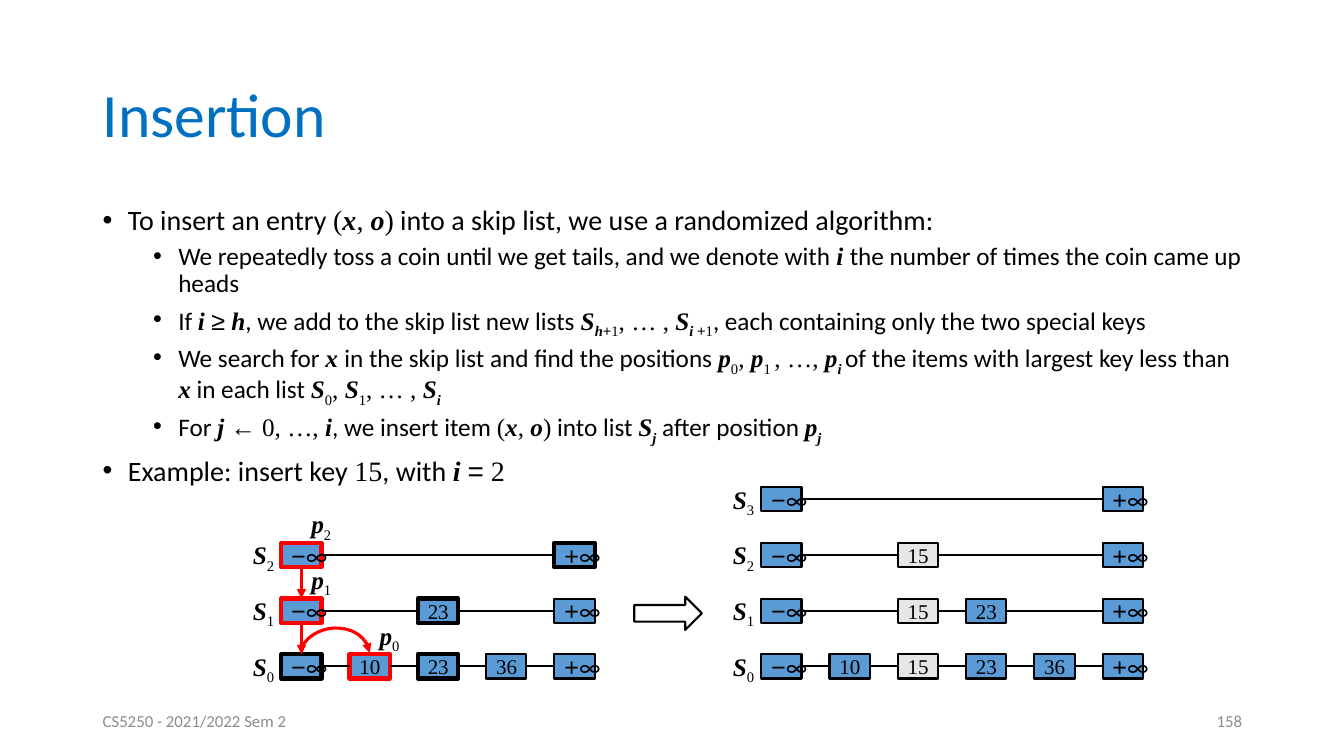
from itertools import pairwise

from lxml.etree import SubElement
from pptx import Presentation
from pptx.dml.color import RGBColor
from pptx.enum.shapes import MSO_CONNECTOR, MSO_SHAPE
from pptx.enum.text import MSO_ANCHOR, PP_ALIGN
from pptx.oxml.ns import qn
from pptx.util import Emu, Inches, Pt

WIDTH, HEIGHT = Inches(13.33), Inches(7.5)
COLORS = {"title": "0070C0", "black": "000000", "footer": "8C8C8C",
          "node": "5B9BD5", "new": "E7E6E6", "path": "FF0000"}

# Skip list grid, in percent of the slide's width or height
COLUMN, ROW = 5.08, 7.37
NODE_WIDTH, NODE_HEIGHT = 3, 3.2
BOTTOM_ROW = 86.55
BEFORE_LEFT, AFTER_LEFT = 20.93, 56.64

# Run styles: font, bold italic, subscript
TEXT = ("Calibri", False, False)
MATH = ("Times New Roman", False, False)
VAR = ("Times New Roman", True, False)
SUB = ("Times New Roman", False, True)
VAR_SUB = ("Times New Roman", True, True)
SYMBOL = ("Arial", False, False)
SYMBOL_SUB = ("Arial", False, True)

ENTRY = [("(", MATH), ("x", VAR), (", ", MATH), ("o", VAR), (")", MATH)]
BODY = [
    (0, [("To insert an entry ", TEXT), *ENTRY,
         (" into a skip list, we use a randomized algorithm:", TEXT)]),
    (1, [("We repeatedly toss a coin until we get tails, and we denote with ", TEXT),
         ("i ", VAR), ("the number of times the coin came up heads", TEXT)]),
    (1, [("If ", TEXT), ("i ", VAR), ("≥", SYMBOL), (" h", VAR),
         (", we add to the skip list new lists ", TEXT),
         ("S", VAR), ("h", VAR_SUB), ("+", SYMBOL_SUB), ("1", SUB), (", … , ", MATH),
         ("S", VAR), ("i ", VAR_SUB), ("+", SYMBOL_SUB), ("1", SUB),
         (", each containing only the two special keys", TEXT)]),
    (1, [("We search for ", TEXT), ("x ", VAR),
         ("in the skip list and find the positions ", TEXT),
         ("p", VAR), ("0", SUB), (", ", MATH), ("p", VAR), ("1 ", SUB), (", …, ", MATH),
         ("p", VAR), ("i ", VAR_SUB), ("of the items with largest key less than ", TEXT),
         ("x", VAR), (" in each list ", TEXT), ("S", VAR), ("0", SUB), (", ", MATH),
         ("S", VAR), ("1", SUB), (", … , ", MATH), ("S", VAR), ("i", VAR_SUB)]),
    (1, [("For ", TEXT), ("j ", VAR), ("←", SYMBOL), (" 0, …, ", MATH), ("i", VAR),
         (", we insert item ", TEXT), *ENTRY, (" into list ", TEXT),
         ("S", VAR), ("j", VAR_SUB), (" after position ", TEXT),
         ("p", VAR), ("j", VAR_SUB)]),
    (0, [("Example: insert key ", TEXT), ("15", MATH), (", with ", TEXT),
         ("i ", VAR), ("=", SYMBOL), (" 2", MATH)]),
]

# Nodes of each list from S0 up: column, key, look
NODE_LOOKS = {"plain": ("node", "black", 1.5), "thick": ("node", "black", 3),
              "path": ("node", "path", 3), "new": ("new", "black", 1.5)}
BEFORE = [
    [(0, "−∞", "thick"), (1, "10", "path"), (2, "23", "thick"),
     (3, "36", "plain"), (4, "+∞", "plain")],
    [(0, "−∞", "path"), (2, "23", "thick"), (4, "+∞", "plain")],
    [(0, "−∞", "path"), (4, "+∞", "thick")],
]
FIRST, LAST = (0, "−∞", "plain"), (5, "+∞", "plain")
AFTER = [
    [FIRST, (1, "10", "plain"), (2, "15", "new"), (3, "23", "plain"),
     (4, "36", "plain"), LAST],
    [FIRST, (2, "15", "new"), (3, "23", "plain"), LAST],
    [FIRST, (2, "15", "new"), LAST],
    [FIRST, LAST],
]


def color(name):
    return RGBColor.from_string(COLORS[name])


def area(left, top, width, height):
    """Turn percents of the slide's size into lengths."""
    return (Emu(int(WIDTH * left / 100)), Emu(int(HEIGHT * top / 100)),
            Emu(int(WIDTH * width / 100)), Emu(int(HEIGHT * height / 100)))


def add_runs(paragraph, runs, size, color_name="black"):
    for text, (font_name, bold_italic, subscript) in runs:
        run = paragraph.add_run()
        run.text = text
        run.font.name = font_name
        run.font.size = Pt(size)
        run.font.bold = run.font.italic = bold_italic
        run.font.color.rgb = color(color_name)
        if subscript:
            run.font._element.set("baseline", "-25000")


def add_text(slide, place, runs, size, color_name="black", anchor=MSO_ANCHOR.MIDDLE,
             align=PP_ALIGN.LEFT, wrap=True):
    frame = slide.shapes.add_textbox(*area(*place)).text_frame
    frame.word_wrap = wrap
    frame.vertical_anchor = anchor
    paragraph = frame.paragraphs[0]
    paragraph.alignment = align
    add_runs(paragraph, runs, size, color_name)


def add_body(slide):
    frame = slide.shapes.add_textbox(*area(6.9, 26.67, 86.27, 63.47)).text_frame
    frame.word_wrap = True
    for index, (level, runs) in enumerate(BODY):
        paragraph = frame.add_paragraph() if index else frame.paragraphs[0]
        paragraph.level = level
        paragraph.line_spacing = 0.9
        if index:
            paragraph.space_before = Pt(5 if level else 10)
        properties = paragraph._element.get_or_add_pPr()
        properties.set("marL", str(Inches(0.25 + 0.5 * level)))
        properties.set("indent", str(Inches(-0.25)))
        SubElement(properties, qn("a:buFont")).set("typeface", "Arial")
        SubElement(properties, qn("a:buChar")).set("char", "•")
        add_runs(paragraph, runs, 18 if level else 20)


def add_label(slide, left, top, letter, number):
    add_text(slide, (left, top, 3.12, 5.33), [(letter, VAR), (str(number), SUB)], 18,
             anchor=MSO_ANCHOR.TOP, wrap=False)


def add_node(slide, left, top, key, look):
    fill, border, border_width = NODE_LOOKS[look]
    node = slide.shapes.add_shape(MSO_SHAPE.RECTANGLE,
                                  *area(left, top, NODE_WIDTH, NODE_HEIGHT))
    node.shadow.inherit = False
    node.fill.solid()
    node.fill.fore_color.rgb = color(fill)
    node.line.color.rgb = color(border)
    node.line.width = Pt(border_width)
    node.text_frame.word_wrap = False
    node.text_frame.vertical_anchor = MSO_ANCHOR.MIDDLE
    paragraph = node.text_frame.paragraphs[0]
    paragraph.alignment = PP_ALIGN.LEFT
    if key.isdigit():
        add_runs(paragraph, [(key, MATH)], 15)
    else:
        add_runs(paragraph, [(key[0], SYMBOL), (key[1], TEXT)], 18)
    return node


def style_connector(connector, color_name, width, arrow):
    connector.line.color.rgb = color(color_name)
    connector.line.width = Pt(width)
    properties = connector._element.spPr
    if arrow:
        SubElement(properties.find(qn("a:ln")), qn("a:tailEnd")).set("type", "triangle")
    SubElement(properties, qn("a:effectLst"))


def join(slide, start, start_side, end, end_side, color_name="black", width=1.5, arrow=False):
    connector = slide.shapes.add_connector(MSO_CONNECTOR.STRAIGHT, 0, 0, 0, 0)
    connector.begin_connect(start, start_side)
    connector.end_connect(end, end_side)
    style_connector(connector, color_name, width, arrow)


def add_arc(slide, start, end):
    """Draw a curved arrow over the gap between the tops of two nodes."""
    rise, drop = Inches(0.24), Inches(0.01)
    span = end.left - start.left
    middle = start.left + (start.width + span) // 2
    top = start.top - Inches(0.02) - span // 2
    arc = slide.shapes.add_connector(MSO_CONNECTOR.CURVE, middle - drop // 2, top,
                                     middle + drop // 2, top + span)
    transform = arc._element.spPr.find(qn("a:xfrm"))
    transform.set("rot", "5400000")
    transform.set("flipV", "1")
    adjustments = arc._element.spPr.find(qn("a:prstGeom")).get_or_add_avLst()
    guide = SubElement(adjustments, qn("a:gd"))
    guide.set("name", "adj1")
    guide.set("fmla", f"val {-100000 * rise // drop}")
    style_connector(arc, "path", 2.25, True)


def add_skip_list(slide, left, lists):
    """Draw the lists upwards from S0 and return their nodes."""
    rows = []
    for level, cells in enumerate(lists):
        top = BOTTOM_ROW - ROW * level
        add_label(slide, left - 2.85, top - 1.1, "S", level)
        nodes = [add_node(slide, left + COLUMN * column, top, key, look)
                 for column, key, look in cells]
        for start, end in pairwise(nodes):
            join(slide, start, 3, end, 1)
        rows.append(nodes)
    return rows


def add_search_path(slide, rows):
    for upper, lower in ((2, 1), (1, 0)):
        join(slide, rows[upper][0], 2, rows[lower][0], 0, "path", 2.25, True)
    add_arc(slide, rows[0][0], rows[0][1])
    for level, column in enumerate((1, 0, 0)):
        add_label(slide, BEFORE_LEFT + COLUMN * column + 1.5,
                  BOTTOM_ROW - ROW * level - 5.2, "p", level)


def add_step_arrow(slide):
    arrow = slide.shapes.add_shape(MSO_SHAPE.RIGHT_ARROW, *area(47.19, 78.93, 5.03, 4.4))
    arrow.shadow.inherit = False
    arrow.fill.background()
    arrow.line.color.rgb = color("black")
    arrow.line.width = Pt(1.5)


def main():
    presentation = Presentation()
    presentation.slide_width, presentation.slide_height = WIDTH, HEIGHT
    slide = presentation.slides.add_slide(presentation.slide_layouts[6])
    add_text(slide, (6.9, 5.33, 86.27, 19.33), [("Insertion", TEXT)], 44, "title")
    add_body(slide)
    add_search_path(slide, add_skip_list(slide, BEFORE_LEFT, BEFORE))
    add_step_arrow(slide)
    add_skip_list(slide, AFTER_LEFT, AFTER)
    add_text(slide, (6.9, 92.67, 22.5, 5.33), [("CS5250 - 2021/2022 Sem 2", TEXT)],
             12, "footer")
    add_text(slide, (70.67, 92.67, 22.5, 5.33), [("158", TEXT)], 12, "footer",
             align=PP_ALIGN.RIGHT)
    presentation.save("out.pptx")


if __name__ == "__main__":
    main()
